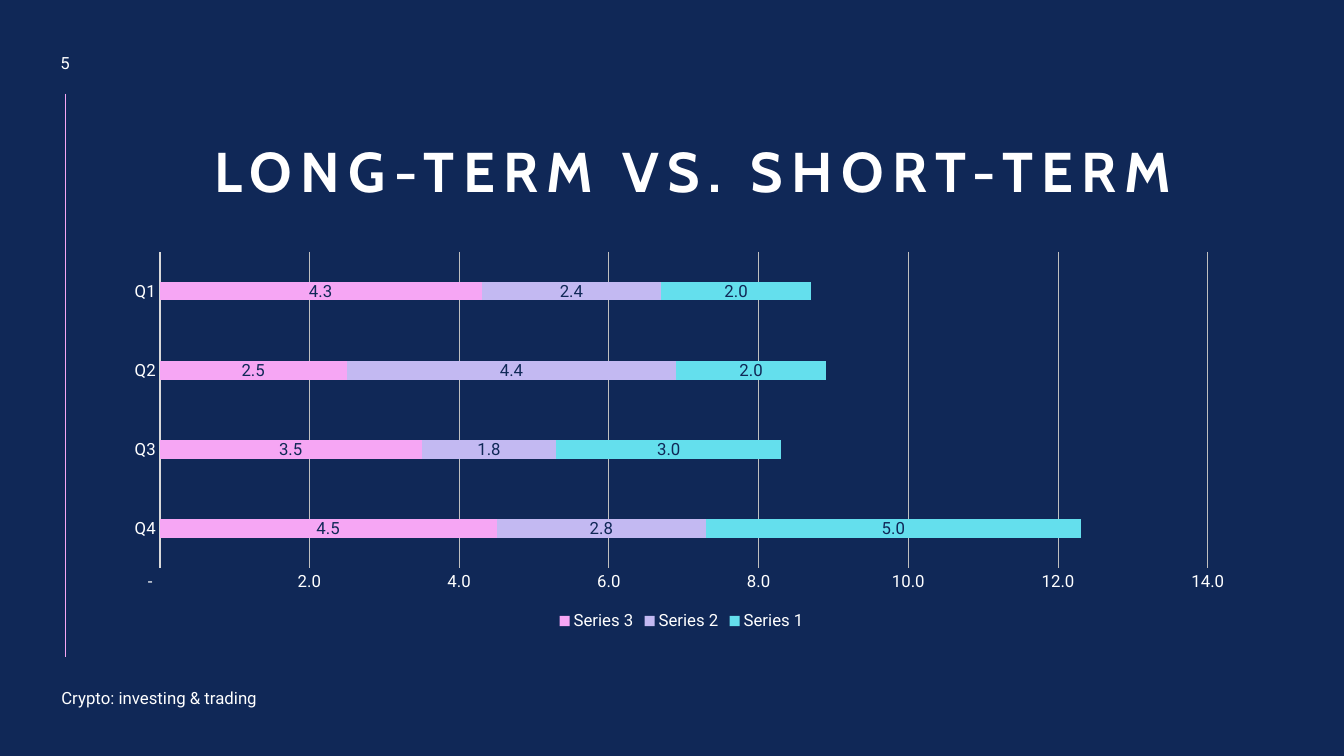
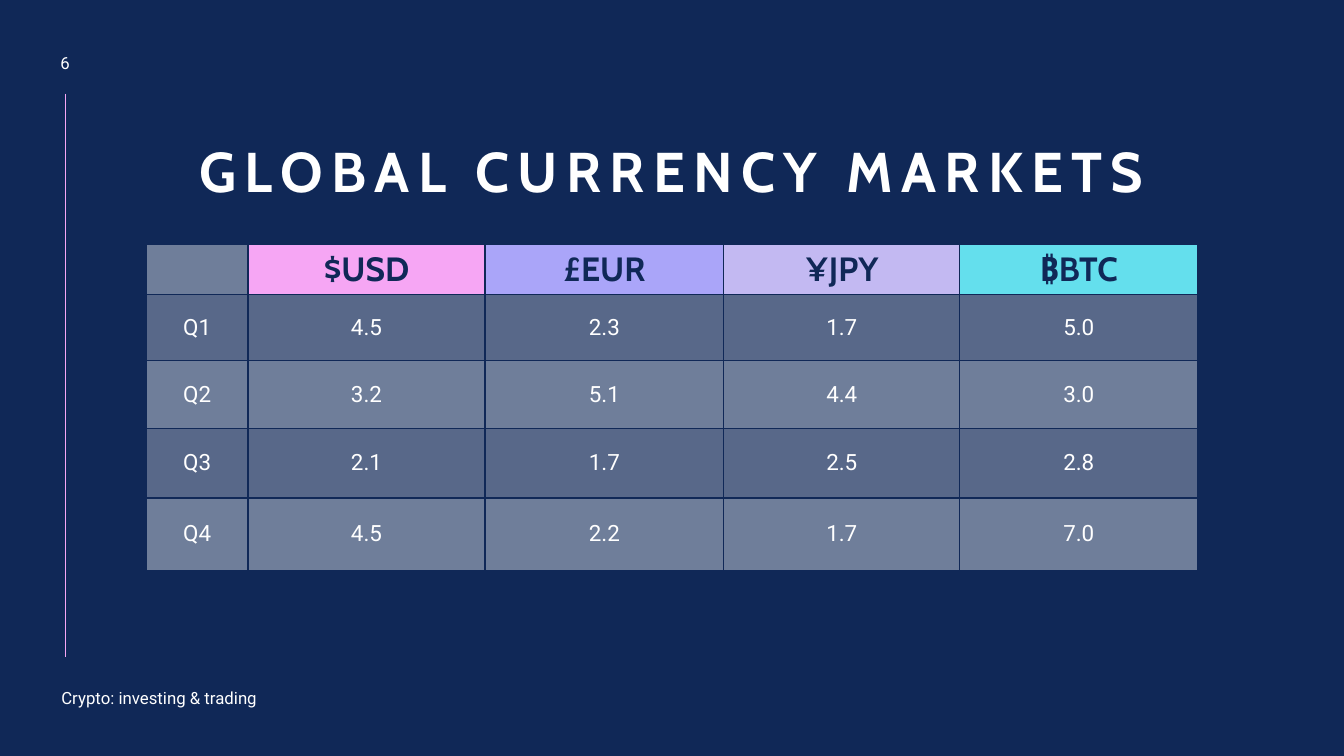
import pptx
import pptx.chart.data
import pptx.dml.color
import pptx.enum.chart
import pptx.enum.shapes
import pptx.enum.text
import pptx.oxml
import pptx.oxml.ns
import pptx.util
from pptx.util import Inches, Pt

COLORS = {
    "navy": "102857",
    "white": "FFFFFF",
    "pink": "F6A6F4",
    "violet": "AAA5F9",
    "lilac": "C3B9F2",
    "cyan": "64DFED",
    "axis": "D9D9D9",
    "grid": "BFBFBF",
}
HEAD_FONT, BODY_FONT = "Cabin", "Roboto"
FOOTER = "Crypto: investing & trading"
NUMBER_FORMAT = '_(* #,##0.0_);_(* \\(#,##0.0\\);_(* "-"??_);_(@_)'

CHART_TITLE = "LONG-TERM VS. SHORT-TERM"
QUARTERS = ["Q4", "Q3", "Q2", "Q1"]
SERIES = [
    ("Series 3", "pink", (4.5, 3.5, 2.5, 4.3)),
    ("Series 2", "lilac", (2.8, 1.8, 4.4, 2.4)),
    ("Series 1", "cyan", (5, 3, 2, 2)),
]

TABLE_TITLE = "GLOBAL CURRENCY MARKETS"
ROWS = [
    ("", "$USD", "£EUR", "¥JPY", "₿BTC"),
    ("Q1", "4.5", "2.3", "1.7", "5.0"),
    ("Q2", "3.2", "5.1", "4.4", "3.0"),
    ("Q3", "2.1", "1.7", "2.5", "2.8"),
    ("Q4", "4.5", "2.2", "1.7", "7.0"),
]
HEADER_FILLS = [None, "pink", "violet", "lilac", "cyan"]
COL_WIDTHS = [1.01, 2.35, 2.37, 2.34, 2.36]
ROW_HEIGHTS = [0.47, 0.66, 0.67, 0.69, 0.72]

ALIGN = pptx.enum.text.PP_ALIGN
ANCHOR = pptx.enum.text.MSO_ANCHOR


def rgb(name):
    return pptx.dml.color.RGBColor.from_string(COLORS[name])


def style_font(font, size, color="white", name=BODY_FONT, bold=False):
    font.size = Pt(size)
    font.name = name
    font.bold = bold
    font.color.rgb = rgb(color)


def style_line(line, color, width):
    line.color.rgb = rgb(color)
    line.width = Pt(width)


def add_text(s, text, box, size, align, anchor=ANCHOR.MIDDLE, **font):
    tf = s.shapes.add_textbox(*map(Inches, box)).text_frame
    tf.word_wrap = True
    tf.vertical_anchor = anchor
    p = tf.paragraphs[0]
    p.text = text
    p.alignment = align
    style_font(p.font, size, **font)
    return p


def add_base_slide(prs, number, title, left, width):
    s = prs.slides.add_slide(prs.slide_layouts[6])
    s.background.fill.solid()
    s.background.fill.fore_color.rgb = rgb("navy")

    rule = s.shapes.add_connector(
        pptx.enum.shapes.MSO_CONNECTOR.STRAIGHT,
        Inches(0.65), Inches(0.93), Inches(0.65), Inches(6.52))
    style_line(rule.line, "pink", 0.5)
    sp_pr = rule._element.spPr
    sp_pr.append(pptx.oxml.parse_xml(
        f"<a:effectLst {pptx.oxml.ns.nsdecls('a')}/>"))

    p = add_text(s, title, (left, 0.91, width, 1.17), 40, ALIGN.CENTER,
                 ANCHOR.BOTTOM, name=HEAD_FONT, bold=True)
    p.line_spacing = 0.9
    p.runs[0]._r.get_or_add_rPr().set("spc", "600")

    add_text(s, str(number), (0.36, 0.45, 0.57, 0.34), 12, ALIGN.CENTER)
    add_text(s, FOOTER, (0.51, 6.77, 2.55, 0.3), 12, ALIGN.LEFT)
    return s


def add_term_chart(s):
    data = pptx.chart.data.CategoryChartData(number_format=NUMBER_FORMAT)
    data.categories = QUARTERS
    for name, _, values in SERIES:
        data.add_series(name, values)
    chart = s.shapes.add_chart(
        pptx.enum.chart.XL_CHART_TYPE.BAR_STACKED,
        *map(Inches, (1.11, 2.42, 11.3, 3.88)), data).chart
    style_font(chart.font, 10)
    chart.has_title = False
    chart.has_legend = True
    chart.legend.position = pptx.enum.chart.XL_LEGEND_POSITION.BOTTOM
    chart.legend.include_in_layout = False
    style_font(chart.legend.font, 12)

    for axis in (chart.category_axis, chart.value_axis):
        axis.major_tick_mark = pptx.enum.chart.XL_TICK_MARK.NONE
        axis.minor_tick_mark = pptx.enum.chart.XL_TICK_MARK.NONE
        style_font(axis.tick_labels.font, 12)
    style_line(chart.category_axis.format.line, "axis", 1.5)
    values = chart.value_axis
    values.format.line.fill.background()
    values.has_major_gridlines = True
    style_line(values.major_gridlines.format.line, "grid", 0.75)
    values.tick_labels.number_format = NUMBER_FORMAT
    values.tick_labels.number_format_is_linked = False

    plot = chart.plots[0]
    plot.gap_width = 326
    plot.overlap = 100
    plot.vary_by_categories = False
    for series, (_, color, _) in zip(plot.series, SERIES):
        series.format.fill.solid()
        series.format.fill.fore_color.rgb = rgb(color)
        labels = series.data_labels
        labels.show_value = True
        labels.number_format = NUMBER_FORMAT
        labels.number_format_is_linked = False
        style_font(labels.font, 12, "navy")


def fill_cell(cell, color, opacity=None):
    cell.fill.solid()
    cell.fill.fore_color.rgb = rgb(color)
    tc_pr = cell._tc.get_or_add_tcPr()
    ns = pptx.oxml.ns.nsdecls("a")
    if opacity:
        tc_pr.find(".//" + pptx.oxml.ns.qn("a:srgbClr")).append(
            pptx.oxml.parse_xml(f'<a:alpha {ns} val="{opacity * 1000}"/>'))
    for i, side in enumerate("LRTB"):
        tc_pr.insert(i, pptx.oxml.parse_xml(
            f'<a:ln{side} {ns} w="{Pt(1)}"><a:solidFill>'
            f'<a:srgbClr val="{COLORS["navy"]}"/></a:solidFill></a:ln{side}>'))


def add_currency_table(s):
    table = s.shapes.add_table(
        len(ROWS), len(COL_WIDTHS), Inches(1.45), Inches(2.42),
        Inches(sum(COL_WIDTHS)), Inches(sum(ROW_HEIGHTS))).table
    for column, width in zip(table.columns, COL_WIDTHS):
        column.width = Inches(width)
    for r, (row, height) in enumerate(zip(ROWS, ROW_HEIGHTS)):
        table.rows[r].height = Inches(height)
        for c, text in enumerate(row):
            cell = table.cell(r, c)
            cell.vertical_anchor = ANCHOR.MIDDLE
            p = cell.text_frame.paragraphs[0]
            p.text = text
            p.alignment = ALIGN.CENTER
            if r == 0:
                style_font(p.font, 24, "navy", HEAD_FONT, True)
            else:
                style_font(p.font, 16)
            if r == 0 and HEADER_FILLS[c]:
                fill_cell(cell, HEADER_FILLS[c])
            else:
                fill_cell(cell, "white", 30 if r % 2 else 40)


def main():
    prs = pptx.Presentation()
    prs.slide_width, prs.slide_height = Inches(13.33), Inches(7.5)
    add_term_chart(add_base_slide(prs, 5, CHART_TITLE, 0.93, 11.9))
    add_currency_table(add_base_slide(prs, 6, TABLE_TITLE, 1.2, 10.93))
    prs.save("out.pptx")


if __name__ == "__main__":
    main()
